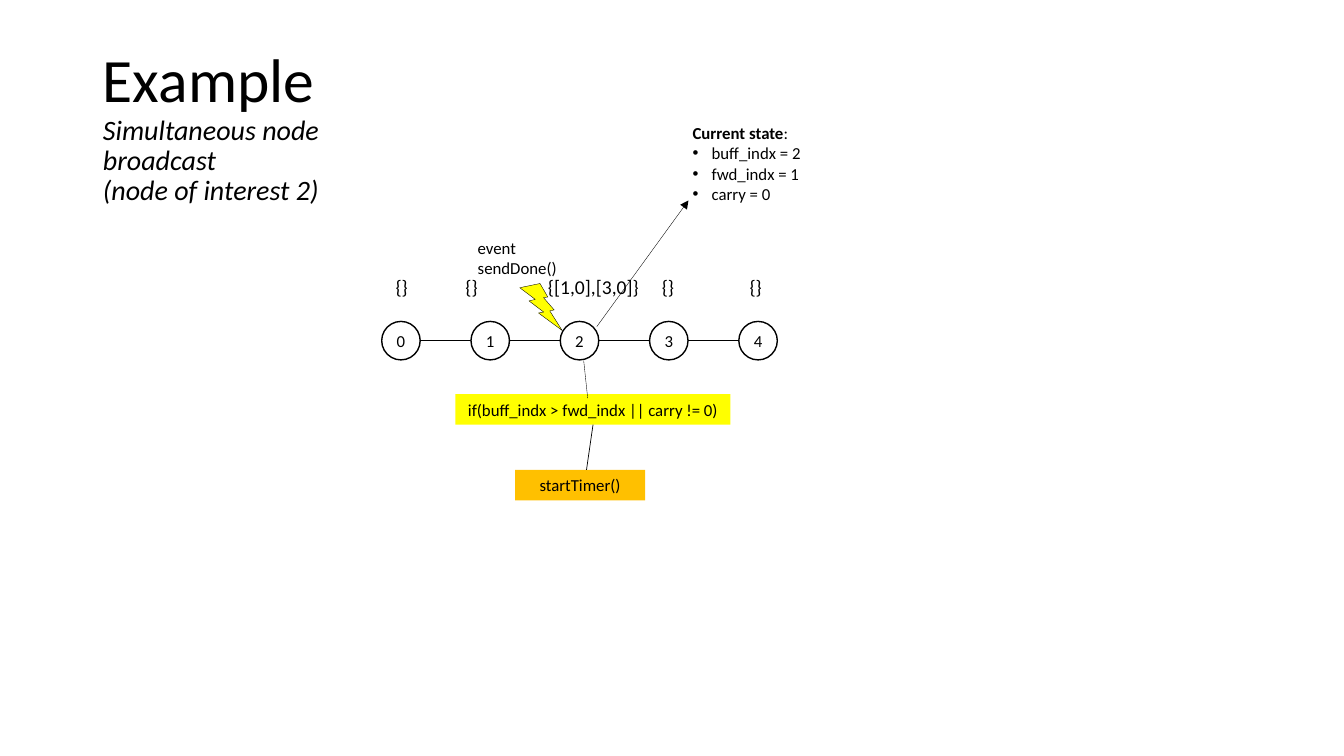
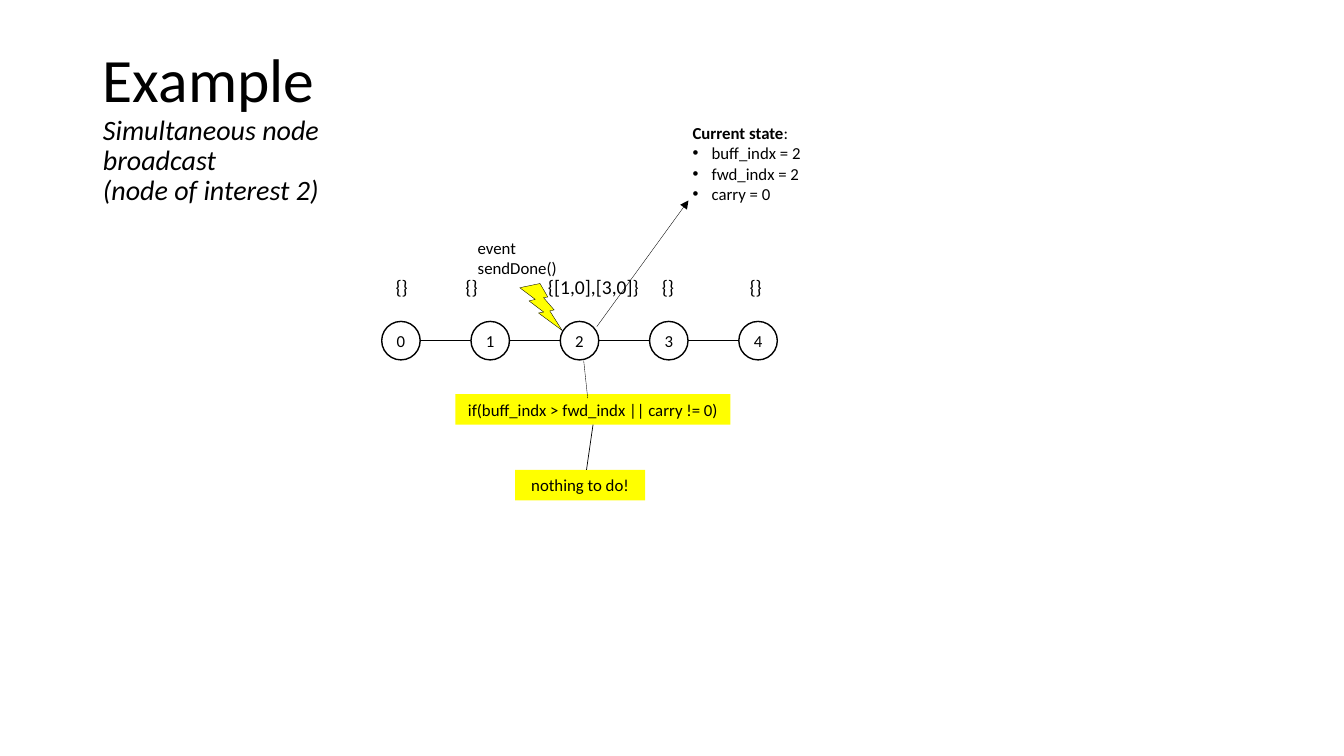
from lxml import etree
from pptx import Presentation
from pptx.dml.color import RGBColor
from pptx.enum import shapes, text
from pptx.oxml import ns
from pptx.util import Cm, Pt

BLACK = RGBColor(0, 0, 0)
WHITE = RGBColor(255, 255, 255)
YELLOW = RGBColor(255, 255, 0)
ORANGE = RGBColor(255, 192, 0)
FONT = "Calibri"
KIND = shapes.MSO_SHAPE
LEFT, MID = text.PP_ALIGN.LEFT, text.PP_ALIGN.CENTER
TOP, HALF = text.MSO_ANCHOR.TOP, text.MSO_ANCHOR.MIDDLE


def put(para, words, size, bold=False, slant=False):
    """Add one styled run to a paragraph."""
    run = para.add_run()
    run.text = words
    font = run.font
    font.name, font.size = FONT, Pt(size)
    font.bold, font.italic = bold, slant
    font.color.rgb = BLACK


def place(item, box):
    """Move a placeholder to a box given in centimetres."""
    item.left, item.top, item.width, item.height = map(Cm, box)
    item.text_frame.word_wrap = True
    item.text_frame.auto_size = text.MSO_AUTO_SIZE.NONE


def label(slide, box, words, size):
    """Add a plain, left-aligned text box."""
    frame = slide.shapes.add_textbox(*map(Cm, box)).text_frame
    frame.word_wrap = True
    put(frame.paragraphs[0], words, size)


def form(slide, kind, box, fill, line=0, words=""):
    """Add a filled shape with optional outline and centred text."""
    item = slide.shapes.add_shape(kind, *map(Cm, box))
    item.shadow.inherit = False
    item.fill.solid()
    item.fill.fore_color.rgb = fill
    if line:
        item.line.color.rgb = BLACK
        item.line.width = Pt(line)
    else:
        item.line.fill.background()
    if words:
        frame = item.text_frame
        frame.margin_left = frame.margin_right = 0
        frame.margin_top = frame.margin_bottom = 0
        frame.vertical_anchor = HALF
        para = frame.paragraphs[0]
        para.alignment = MID
        put(para, words, 12)
    return item


def link(slide, ends, width, arrow=False):
    """Draw a straight line, with an arrowhead on request."""
    line = slide.shapes.add_connector(shapes.MSO_CONNECTOR.STRAIGHT, *map(Cm, ends))
    line.line.color.rgb = BLACK
    line.line.width = Pt(width)
    if arrow:
        etree.SubElement(line.line._get_or_add_ln(), ns.qn("a:tailEnd"), type="triangle")
    etree.SubElement(line._element.spPr, ns.qn("a:effectLst"))


def head(slide, box):
    """Fill the title with its italic subtitle."""
    title = slide.shapes.title
    place(title, box)
    frame = title.text_frame
    frame.vertical_anchor = HALF
    first, last = frame.paragraphs[0], frame.add_paragraph()
    for para in (first, last):
        para.alignment, para.line_spacing = LEFT, 0.9
    put(first, "Example", 44)
    first.add_line_break()
    put(first, "Simultaneous node broadcast", 20, slant=True)
    put(last, "(node of interest 2)", 20, slant=True)


def state(slide, box, index):
    """List the current state in the body placeholder."""
    body = slide.placeholders[1]
    place(body, box)
    frame = body.text_frame
    frame.vertical_anchor = TOP
    top = frame.paragraphs[0]
    put(top, "Current state", 12, bold=True)
    put(top, ":", 12)
    for words in ("buff_indx = 2", f"fwd_indx = {index}", "carry = 0"):
        put(frame.add_paragraph(), words, 12)
    for para in frame.paragraphs:
        para.space_before = Pt(0)
        props = para._p.get_or_add_pPr()
        dent = 0 if para._p is top._p else Cm(0.48)
        props.set("marL", str(dent))
        props.set("indent", str(-dent))
    etree.SubElement(top._p.get_or_add_pPr(), ns.qn("a:buNone"))


def chain(slide, box):
    """Draw five linked nodes with their buffers above."""
    left, top, width, high = box
    size = 0.97
    step = (width - size) / 4
    base = top + high - size
    for num in range(5):
        x = left + num * step
        form(slide, KIND.OVAL, (x, base, size, size), WHITE, 1, str(num))
        if num < 4:
            y = base + size / 2
            link(slide, (x + size, y, x + step, y), 1)
    sets = ((0.1, 1.02, "{}"), (1.86, 1.8, "{}"), (6.81, 1.8, "{}"),
            (9.02, 1.02, "{}"), (3.94, 3.5, "{[1,0],[3,0]}"))
    for x, wide, words in sets:
        label(slide, (left + x, top, wide, 0.86), words, 14)


def event(slide, box):
    """Show the event text and its lightning bolt."""
    left, top, width, _ = box
    bolt = form(slide, KIND.LIGHTNING_BOLT, (left + 1.24, top + 1.29, 1.24, 1.07), YELLOW, 0.25)
    bolt.rotation = 9.9
    label(slide, (left, top, width, 1.27), "event sendDone()", 12)


def steps(slide, box, words, fill):
    """Stack the test and its outcome, joined to the node."""
    left, top, width, high = box
    tall = 0.77
    low = top + high - tall
    form(slide, KIND.RECTANGLE, (left, top, width, tall), YELLOW, 0,
         "if(buff_indx > fwd_indx || carry != 0)")
    form(slide, KIND.RECTANGLE, (left + 1.5, low, 3.28, tall), fill, 0, words)
    link(slide, (left + width / 2, top + tall, left + 3.3, low), 0.5)
    link(slide, (left + 3.23, top - 0.84, left + 3.33, top + 0.1), 0.25)


def build(deck, index, words, fill):
    """Build one example slide."""
    slide = deck.slides.add_slide(deck.slide_layouts[1])
    head(slide, (2.34, 1.02, 8.86, 4.42))
    state(slide, (17.2, 2.97, 3.38, 2.31), index)
    chain(slide, (9.62, 6.81, 9.97, 2.26))
    steps(slide, (11.48, 9.93, 6.93, 2.68), words, fill)
    link(slide, (15.04, 8.23, 17.35, 5.05), 0.25, True)
    event(slide, (11.79, 5.87, 2.59, 2.36))


deck = Presentation()
deck.slide_width, deck.slide_height = Cm(33.87), Cm(19.05)
build(deck, 1, "startTimer()", ORANGE)
build(deck, 2, "nothing to do!", YELLOW)
deck.save("out.pptx")
